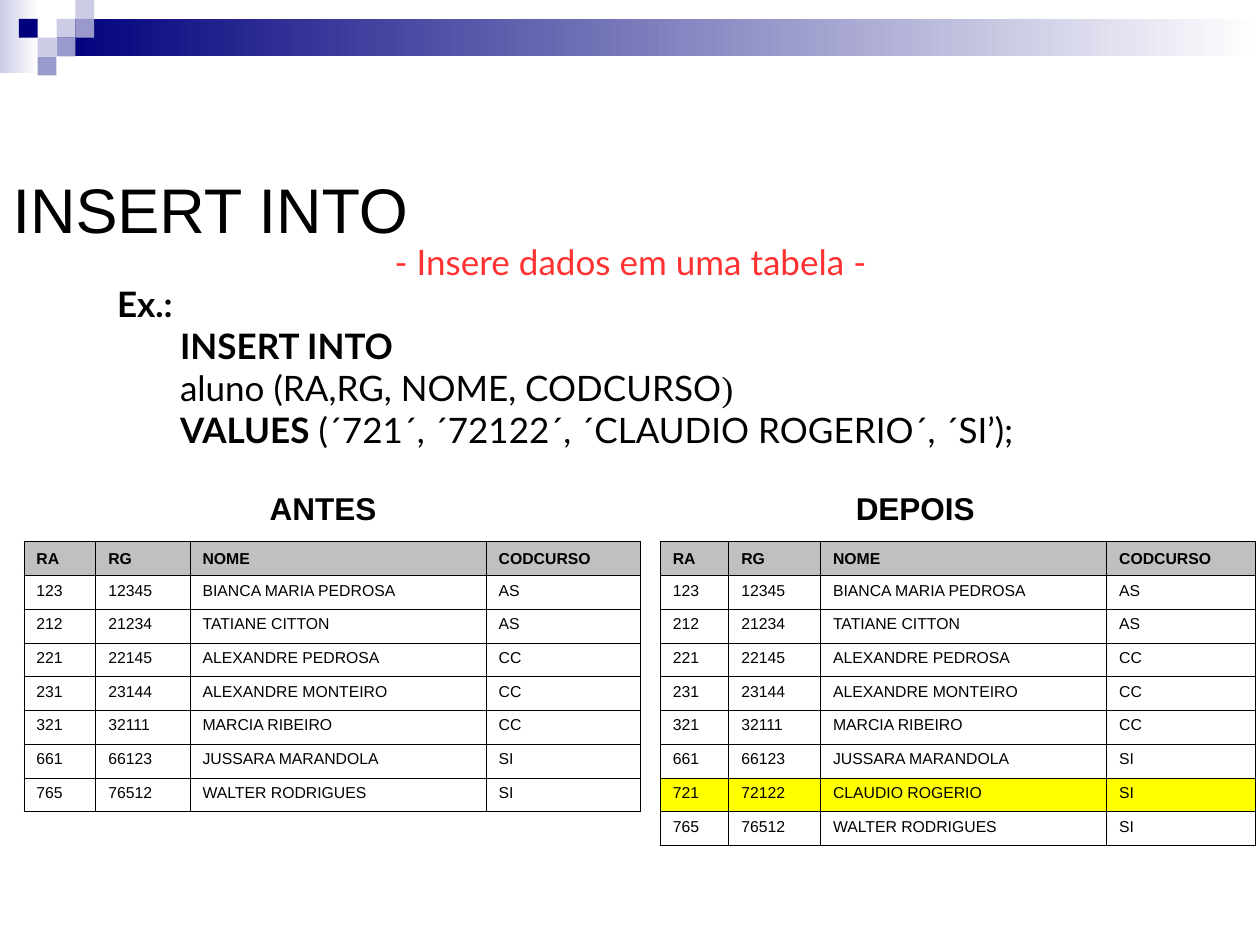
from lxml import etree
from pptx import Presentation
from pptx import util as u
from pptx.dml.color import RGBColor
from pptx.enum import shapes, text
from pptx.oxml import ns

NAVY, LILAC, VIOLET = "00007D", "CCCCE6", "9999CC"
BLACK, WHITE, GREY, YELLOW, RED = "000000", "FFFFFF", "C0C0C0", "FFFF00", "FF3131"
CENTER = text.PP_ALIGN.CENTER
TILE = 0.38

HEADER = ["RA", "RG", "NOME", "CODCURSO"]
BEFORE = [
    ["123", "12345", "BIANCA MARIA PEDROSA", "AS"],
    ["212", "21234", "TATIANE CITTON", "AS"],
    ["221", "22145", "ALEXANDRE PEDROSA", "CC"],
    ["231", "23144", "ALEXANDRE MONTEIRO", "CC"],
    ["321", "32111", "MARCIA RIBEIRO", "CC"],
    ["661", "66123", "JUSSARA MARANDOLA", "SI"],
    ["765", "76512", "WALTER RODRIGUES", "SI"],
]
INSERTED = ["721", "72122", "CLAUDIO ROGERIO", "SI"]
AFTER = sorted(BEFORE + [INSERTED])


def color(value):
    return RGBColor.from_string(value)


class SlideBuilder:
    heading_font = "Arial"
    body_font = "Lato"
    row_height = 0.68
    border_width = u.Pt(0.34)

    def __init__(self, slide):
        self.slide = slide

    def run(self, paragraph, words, size, font=None, bold=False, fill=BLACK):
        run = paragraph.add_run()
        run.text = words
        run.font.size = u.Pt(size)
        run.font.name = font or self.heading_font
        run.font.bold = bold
        run.font.color.rgb = color(fill)

    def title(self, words, left, top, width, height):
        shape = self.slide.shapes.title
        shape.left, shape.top = u.Cm(left), u.Cm(top)
        shape.width, shape.height = u.Cm(width), u.Cm(height)
        frame = shape.text_frame
        frame.auto_size = text.MSO_AUTO_SIZE.NONE
        frame.vertical_anchor = text.MSO_ANCHOR.BOTTOM
        paragraph = frame.paragraphs[0]
        paragraph.alignment = text.PP_ALIGN.LEFT
        self.run(paragraph, words, 36)

    def rectangle(self, left, top, width, height, fill, fade=False):
        shape = self.slide.shapes.add_shape(
            shapes.MSO_SHAPE.RECTANGLE, u.Cm(left), u.Cm(top), u.Cm(width), u.Cm(height))
        shape.shadow.inherit = False
        shape.line.fill.background()
        if fade:
            shape.fill.gradient()
            shape.fill.gradient_angle = 0
            for stop, value in zip(shape.fill.gradient_stops, (fill, WHITE)):
                stop.color.rgb = color(value)
                stop.position = float(value == WHITE)
        else:
            shape.fill.solid()
            shape.fill.fore_color.rgb = color(fill)
        return shape

    def caption(self, words, left, top, width, height):
        frame = self.rectangle(left, top, width, height, WHITE).text_frame
        frame.vertical_anchor = text.MSO_ANCHOR.MIDDLE
        paragraph = frame.paragraphs[0]
        paragraph.alignment = CENTER
        self.run(paragraph, words, 18, bold=True)

    def code_text(self, lines, left, top, width, height):
        box = self.slide.shapes.add_textbox(u.Cm(left), u.Cm(top), u.Cm(width), u.Cm(height))
        frame = box.text_frame
        frame.word_wrap = True
        for index, (level, alignment, runs) in enumerate(lines):
            paragraph = frame.add_paragraph() if index else frame.paragraphs[0]
            paragraph.level = level
            paragraph.alignment = alignment
            properties = paragraph._p.get_or_add_pPr()
            properties.set("marL", str(u.Cm(0.94 + 1.27 * level)))
            properties.set("indent", str(-u.Cm(0.94)))
            for words, style in runs:
                self.run(paragraph, words, 20, **{"font": self.body_font, **style})

    def borders(self, cell):
        properties = cell._tc.get_or_add_tcPr()
        for side in ("a:lnL", "a:lnR", "a:lnT", "a:lnB"):
            line = etree.SubElement(properties, ns.qn(side), w=str(self.border_width))
            fill = etree.SubElement(line, ns.qn("a:solidFill"))
            etree.SubElement(fill, ns.qn("a:srgbClr"), val=BLACK)

    def table(self, rows, left, top, widths):
        table = self.slide.shapes.add_table(
            len(rows) + 1, len(HEADER), u.Cm(left), u.Cm(top),
            u.Cm(sum(widths)), u.Cm(self.row_height * (len(rows) + 1))).table
        table.first_row = table.horz_banding = False
        for column, width in zip(table.columns, widths):
            column.width = u.Cm(width)
        for row, values in zip(table.rows, [HEADER] + rows):
            row.height = u.Cm(self.row_height)
            is_header = values is HEADER
            fill = GREY if is_header else YELLOW if values is INSERTED else WHITE
            for cell, value in zip(row.cells, values):
                self.borders(cell)
                cell.fill.solid()
                cell.fill.fore_color.rgb = color(fill)
                if is_header:
                    cell.vertical_anchor = text.MSO_ANCHOR.MIDDLE
                self.run(cell.text_frame.paragraphs[0], value, 9, bold=is_header)


def main():
    presentation = Presentation()
    presentation.slide_width, presentation.slide_height = u.Cm(25.4), u.Cm(19.05)
    slide = presentation.slides.add_slide(presentation.slide_layouts[5])
    builder = SlideBuilder(slide)

    builder.rectangle(0, 0, 0.79, 1.47, LILAC, fade=True)
    builder.rectangle(1.14, TILE, 24.26, 2 * TILE, NAVY, fade=True)
    tiles = [(3, 1, LILAC), (4, 0, LILAC), (4, 1, VIOLET), (2, 2, LILAC),
             (1, 1, NAVY), (3, 2, VIOLET), (2, 3, VIOLET)]
    for column, row, fill in tiles:
        builder.rectangle(column * TILE, row * TILE, TILE, TILE, fill)

    bold = {"bold": True}
    builder.code_text([
        (0, CENTER, [(" ", {}), ("- Insere dados em uma tabela - ", {"fill": RED})]),
        (0, None, [("Ex.:", bold)]),
        (1, None, [("INSERT INTO", bold)]),
        (1, None, [("aluno (RA,RG, NOME, CODCURSO", {}), (")", {"font": "Times New Roman"})]),
        (1, None, [("VALUES", bold), (" (´721´, ´72122´, ´CLAUDIO ROGERIO´, ´SI’);", {})]),
    ], 2.11, 4.72, 21.21, 4.5)
    builder.title("INSERT INTO", 0, 1.27, 22.86, 3.81)

    builder.caption("ANTES ", 3.3, 9.73, 6.6, 1.02)
    builder.table(BEFORE, 0.48, 10.92, [1.45, 1.9, 5.97, 3.1])
    builder.caption("DEPOIS ", 15.49, 9.73, 6.1, 1.02)
    builder.table(AFTER, 13.31, 10.92, [1.38, 1.85, 5.77, 3])

    presentation.save("out.pptx")


if __name__ == "__main__":
    main()
